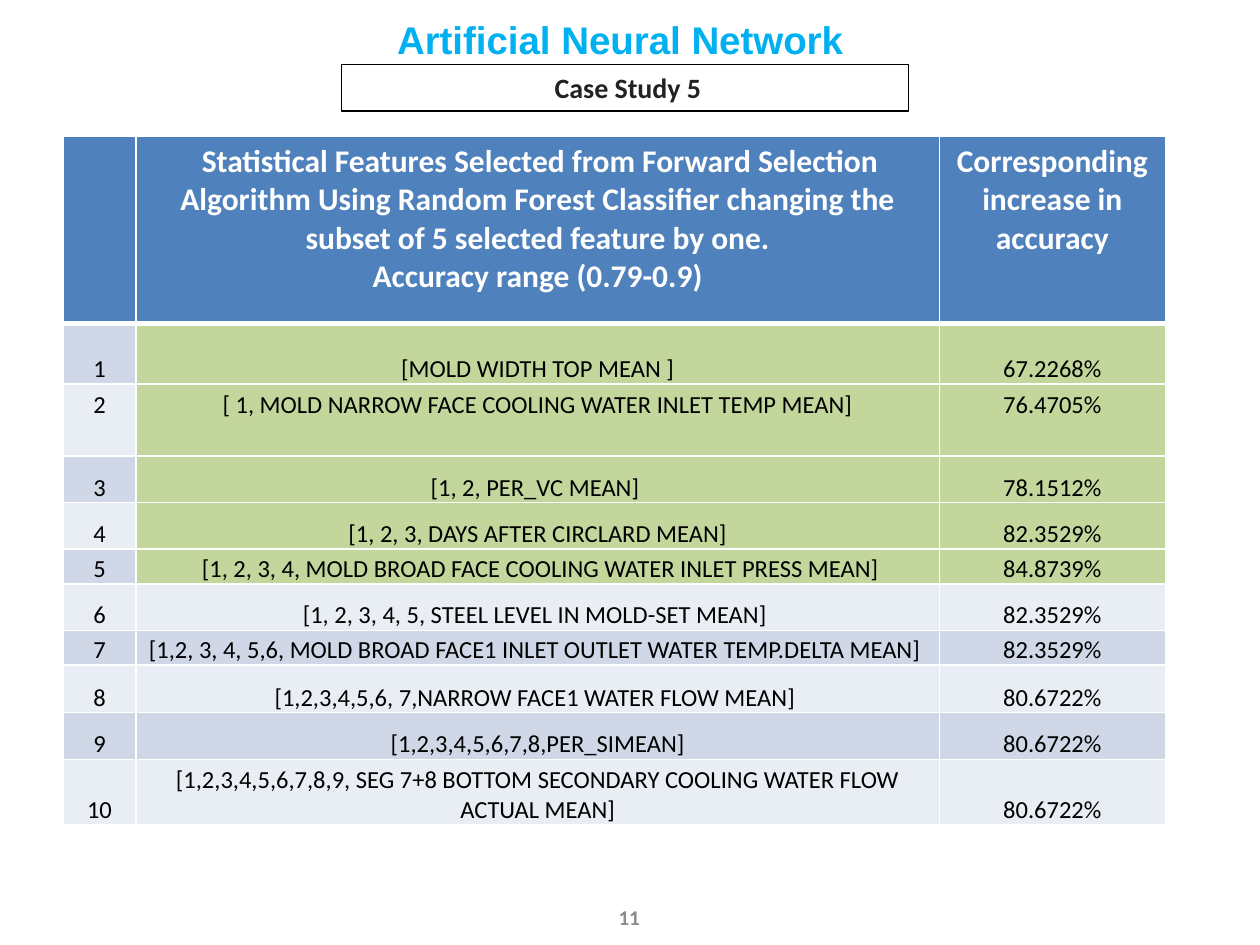
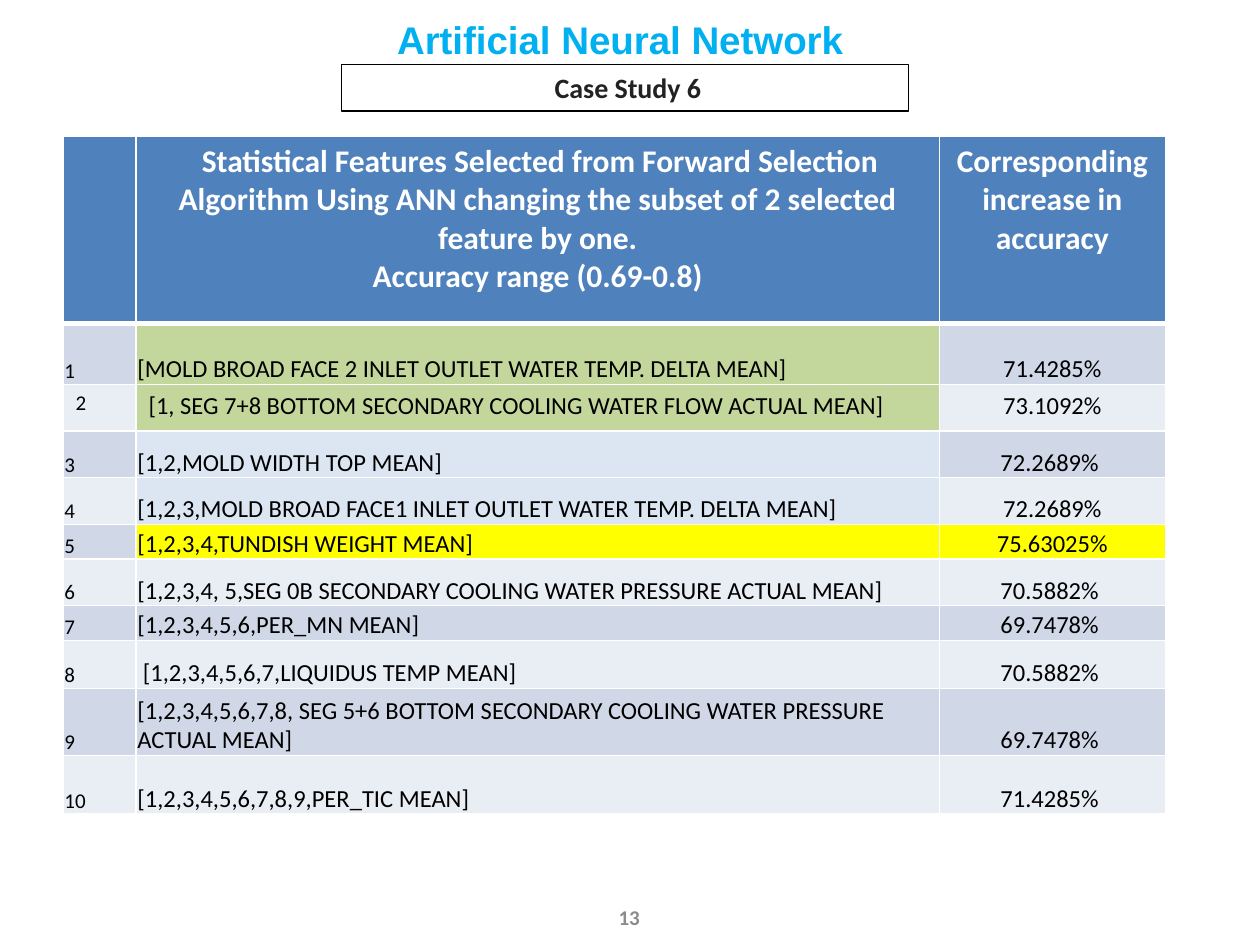
import dataclasses
import typing

import lxml.etree
import pptx
import pptx.dml.color
import pptx.enum.shapes
import pptx.enum.text
import pptx.oxml.ns
import pptx.presentation
import pptx.shapes.base
import pptx.slide
import pptx.table
import pptx.text.text
import pptx.util

Cm = pptx.util.Cm
Pt = pptx.util.Pt
ALIGN = pptx.enum.text.PP_ALIGN
ANCHOR = pptx.enum.text.MSO_ANCHOR
AUTO_SIZE = pptx.enum.text.MSO_AUTO_SIZE

WHITE, BLACK = "FFFFFF", "000000"
HEADER_BLUE = "4F81BD"
BANDS = ("E9EDF4", "D0D8E8")
GREEN, PALE_BLUE, YELLOW = "C3D69B", "DCE6F2", "FFFF00"

COLUMN_WIDTHS = (1.47, 16.2, 4.55)
HEADER_HEIGHT = 3.78
ROOMY_ROW = 2

TIGHT_CELL = {
    "vertical_anchor": ANCHOR.BOTTOM,
    "margin_left": Cm(0.03),
    "margin_right": Cm(0.03),
    "margin_top": Cm(0.03),
    "margin_bottom": Cm(0),
}
GROWING_FRAME = {
    "word_wrap": True,
    "vertical_anchor": ANCHOR.TOP,
    "auto_size": AUTO_SIZE.SHAPE_TO_FIT_TEXT,
}
NUMBER_FRAME = {"word_wrap": True, "vertical_anchor": ANCHOR.MIDDLE}


@dataclasses.dataclass(frozen=True)
class Box:
    left: float
    top: float
    width: float
    height: float

    def lengths(self) -> dict[str, int]:
        return {name: Cm(value) for name, value in dataclasses.asdict(self).items()}


@dataclasses.dataclass(frozen=True)
class TextStyle:
    size: float
    color: str
    bold: bool = False
    font: str = "Calibri"
    alignment: ALIGN = ALIGN.CENTER


@dataclasses.dataclass(frozen=True)
class FeatureRow:
    feature: str
    accuracy: str
    height: float = 0.94
    feature_fill: str | None = None
    accuracy_fill: str | None = None


@dataclasses.dataclass(frozen=True)
class CaseStudy:
    name: str
    page: str
    heading: str
    accuracy_range: str
    number_style: TextStyle
    feature_style: TextStyle
    rows: tuple[FeatureRow, ...]


TITLE_BOX = Box(7.75, 0.2, 11.63, 0.69)
CASE_BOX = Box(6.88, 1.3, 11.43, 0.94)
PAGE_BOX = Box(11.81, 17.98, 1.75, 1.02)
TABLE_CORNER = (1.27, 2.74)

TITLE_STYLE = TextStyle(22, "00B0F0", True, "Arial", ALIGN.LEFT)
CASE_STYLE = TextStyle(16, "222222", True)
PAGE_STYLE = TextStyle(12, "8C8C8C", True)
HEADER_STYLE = TextStyle(18, WHITE, True)
HEADER_INDENT_STYLE = TextStyle(12, WHITE, True)
CELL_STYLE = TextStyle(14, BLACK)
LEFT_STYLE = dataclasses.replace(CELL_STYLE, alignment=ALIGN.LEFT)
LEFT_NUMBER_STYLE = dataclasses.replace(LEFT_STYLE, size=12)

CASE_STUDIES = (
    CaseStudy(
        "Case Study 5", "11",
        "Statistical Features Selected from Forward Selection Algorithm Using "
        "Random Forest Classifier changing the subset of 5 selected feature by one.",
        "Accuracy range (0.79-0.9)", CELL_STYLE, CELL_STYLE,
        (
            FeatureRow("[MOLD WIDTH TOP MEAN ]", "67.2268%", 1.22, GREEN, GREEN),
            FeatureRow("[ 1, MOLD NARROW FACE COOLING WATER INLET TEMP MEAN]",
                       "76.4705%", 1.45, GREEN, GREEN),
            FeatureRow("[1, 2, PER_VC MEAN] ", "78.1512%", 0.94, GREEN, GREEN),
            FeatureRow("[1, 2, 3, DAYS AFTER CIRCLARD MEAN]", "82.3529%", 0.94, GREEN, GREEN),
            FeatureRow(" [1, 2, 3, 4, MOLD BROAD FACE COOLING WATER INLET PRESS MEAN]",
                       "84.8739%", 0.7, GREEN, GREEN),
            FeatureRow("[1, 2, 3, 4, 5, STEEL LEVEL IN MOLD-SET MEAN] ", "82.3529%"),
            FeatureRow("[1,2, 3, 4, 5,6, MOLD BROAD FACE1 INLET OUTLET WATER TEMP.DELTA MEAN] ",
                       "82.3529%", 0.7),
            FeatureRow("[1,2,3,4,5,6, 7,NARROW FACE1 WATER FLOW MEAN] ", "80.6722%", 0.96),
            FeatureRow("[1,2,3,4,5,6,7,8,PER_SIMEAN]", "80.6722%"),
            FeatureRow("[1,2,3,4,5,6,7,8,9, SEG 7+8 BOTTOM SECONDARY COOLING WATER FLOW "
                       "ACTUAL MEAN]", "80.6722%", 1.32),
        ),
    ),
    CaseStudy(
        "Case Study 6", "13",
        "Statistical Features Selected from Forward Selection Algorithm Using "
        "ANN changing the subset of 2 selected feature by one.",
        "Accuracy range (0.69-0.8)", LEFT_NUMBER_STYLE, LEFT_STYLE,
        (
            FeatureRow("[MOLD BROAD FACE 2 INLET OUTLET WATER TEMP. DELTA MEAN]",
                       "71.4285%", 1.23, GREEN),
            FeatureRow("[1, SEG 7+8 BOTTOM SECONDARY COOLING WATER FLOW ACTUAL MEAN]",
                       "73.1092%", 0.94, GREEN),
            FeatureRow("[1,2,MOLD WIDTH TOP MEAN]", "72.2689% ", 0.94, PALE_BLUE),
            FeatureRow("[1,2,3,MOLD BROAD FACE1 INLET OUTLET WATER TEMP. DELTA MEAN]",
                       "72.2689%", 0.94, PALE_BLUE),
            FeatureRow("[1,2,3,4,TUNDISH WEIGHT MEAN]", "75.63025%", 0.7, YELLOW, YELLOW),
            FeatureRow("[1,2,3,4, 5,SEG 0B SECONDARY COOLING WATER PRESSURE ACTUAL MEAN]",
                       "70.5882% "),
            FeatureRow("[1,2,3,4,5,6,PER_MN MEAN]", "69.7478% ", 0.7),
            FeatureRow(" [1,2,3,4,5,6,7,LIQUIDUS TEMP MEAN]", "70.5882% ", 0.97),
            FeatureRow("[1,2,3,4,5,6,7,8, SEG 5+6 BOTTOM SECONDARY COOLING WATER PRESSURE "
                       "ACTUAL MEAN]", "69.7478% ", 1.35),
            FeatureRow("[1,2,3,4,5,6,7,8,9,PER_TIC MEAN]", "71.4285% ", 1.18),
        ),
    ),
)


def rgb(color: str) -> pptx.dml.color.RGBColor:
    return pptx.dml.color.RGBColor.from_string(color)


def apply_format(target: typing.Any, values: dict[str, typing.Any]) -> None:
    for name, value in values.items():
        setattr(target, name, value)


def add_run(paragraph: typing.Any, text: str, style: TextStyle) -> None:
    run = paragraph.add_run()
    run.text = text
    apply_format(run.font, {"size": Pt(style.size), "bold": style.bold, "name": style.font})
    run.font.color.rgb = rgb(style.color)
    paragraph.alignment = style.alignment


def write(frame: pptx.text.text.TextFrame, text: str, style: TextStyle) -> None:
    add_run(frame.paragraphs[0], text, style)


def set_borders(cell: typing.Any, top: float, bottom: float) -> None:
    properties = cell._tc.get_or_add_tcPr()
    widths = {"lnL": 1, "lnR": 1, "lnT": top, "lnB": bottom}
    for index, (tag, width) in enumerate(widths.items()):
        line = lxml.etree.Element(pptx.oxml.ns.qn(f"a:{tag}"), w=str(Pt(width)))
        fill = lxml.etree.SubElement(line, pptx.oxml.ns.qn("a:solidFill"))
        lxml.etree.SubElement(fill, pptx.oxml.ns.qn("a:srgbClr"), val=WHITE)
        properties.insert(index, line)


def style_cell(cell: typing.Any, fill: str, top: float = 1, bottom: float = 1) -> None:
    cell.fill.solid()
    cell.fill.fore_color.rgb = rgb(fill)
    set_borders(cell, top, bottom)


def fill_header(table: pptx.table.Table, study: CaseStudy) -> None:
    for cell in table.rows[0].cells:
        style_cell(cell, HEADER_BLUE, bottom=3)
    heading_frame = table.cell(0, 1).text_frame
    write(heading_frame, " ", HEADER_INDENT_STYLE)
    write(heading_frame, study.heading, HEADER_STYLE)
    add_run(heading_frame.add_paragraph(), study.accuracy_range, HEADER_STYLE)
    write(table.cell(0, 2).text_frame, "Corresponding increase in accuracy", HEADER_STYLE)


def fill_feature_row(table: pptx.table.Table, number: int, row: FeatureRow,
                     study: CaseStudy) -> None:
    band = BANDS[number % 2]
    contents = (
        (str(number), study.number_style, band),
        (row.feature, study.feature_style, row.feature_fill or band),
        (row.accuracy, CELL_STYLE, row.accuracy_fill or band),
    )
    for cell, (text, style, fill) in zip(table.rows[number].cells, contents):
        style_cell(cell, fill, top=3 if number == 1 else 1)
        if number != ROOMY_ROW:
            apply_format(cell, TIGHT_CELL)
        write(cell.text_frame, text, style)


def add_feature_table(slide: pptx.slide.Slide, study: CaseStudy) -> None:
    heights = (HEADER_HEIGHT, *(row.height for row in study.rows))
    box = Box(*TABLE_CORNER, sum(COLUMN_WIDTHS), sum(heights))
    table = slide.shapes.add_table(len(heights), len(COLUMN_WIDTHS), **box.lengths()).table
    table.horz_banding = False
    for column, width in zip(table.columns, COLUMN_WIDTHS):
        column.width = Cm(width)
    for table_row, height in zip(table.rows, heights):
        table_row.height = Cm(height)
    fill_header(table, study)
    for number, row in enumerate(study.rows, start=1):
        fill_feature_row(table, number, row, study)


def add_title(slide: pptx.slide.Slide) -> None:
    title = slide.shapes.title
    apply_format(title, TITLE_BOX.lengths())
    apply_format(title.text_frame, GROWING_FRAME)
    write(title.text_frame, "Artificial Neural Network", TITLE_STYLE)


def add_page_number(slide: pptx.slide.Slide, page: str) -> None:
    frame = slide.shapes.add_textbox(**PAGE_BOX.lengths()).text_frame
    apply_format(frame, NUMBER_FRAME)
    write(frame, page, PAGE_STYLE)


def add_case_label(slide: pptx.slide.Slide, name: str) -> None:
    rectangle = pptx.enum.shapes.MSO_SHAPE.RECTANGLE
    shape = slide.shapes.add_shape(rectangle, **CASE_BOX.lengths())
    shape.shadow.inherit = False
    shape.fill.background()
    shape.line.color.rgb = rgb(BLACK)
    shape.line.width = Pt(0.75)
    apply_format(shape.text_frame, GROWING_FRAME)
    write(shape.text_frame, f" {name}", CASE_STYLE)


def add_case_slide(presentation: pptx.presentation.Presentation, study: CaseStudy) -> None:
    slide = presentation.slides.add_slide(presentation.slide_layouts.get_by_name("Title Only"))
    add_page_number(slide, study.page)
    add_title(slide)
    add_feature_table(slide, study)
    add_case_label(slide, study.name)


def main() -> None:
    presentation = pptx.Presentation()
    apply_format(presentation, {"slide_width": Cm(25.4), "slide_height": Cm(19.05)})
    for study in CASE_STUDIES:
        add_case_slide(presentation, study)
    presentation.save("out.pptx")


if __name__ == "__main__":
    main()
